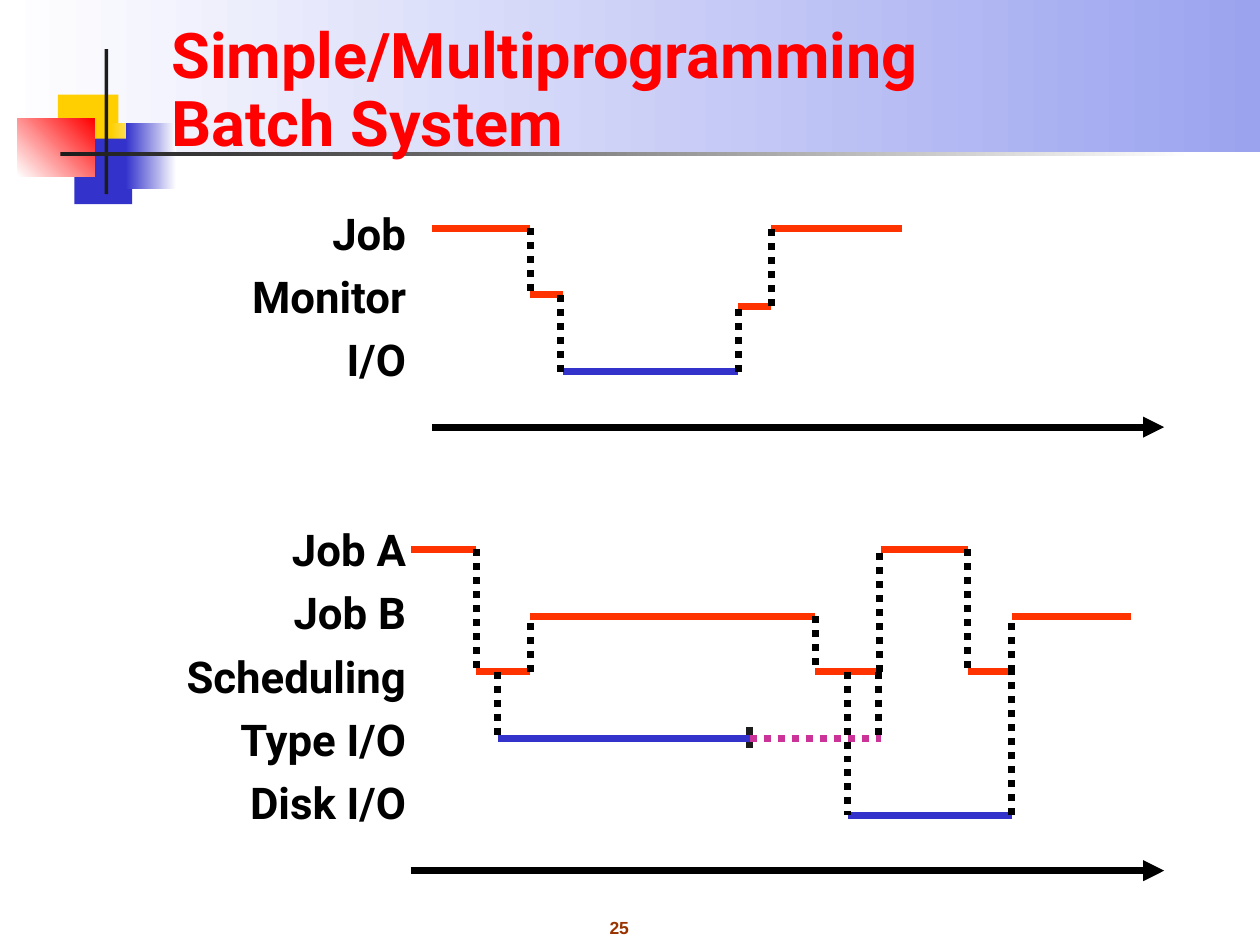
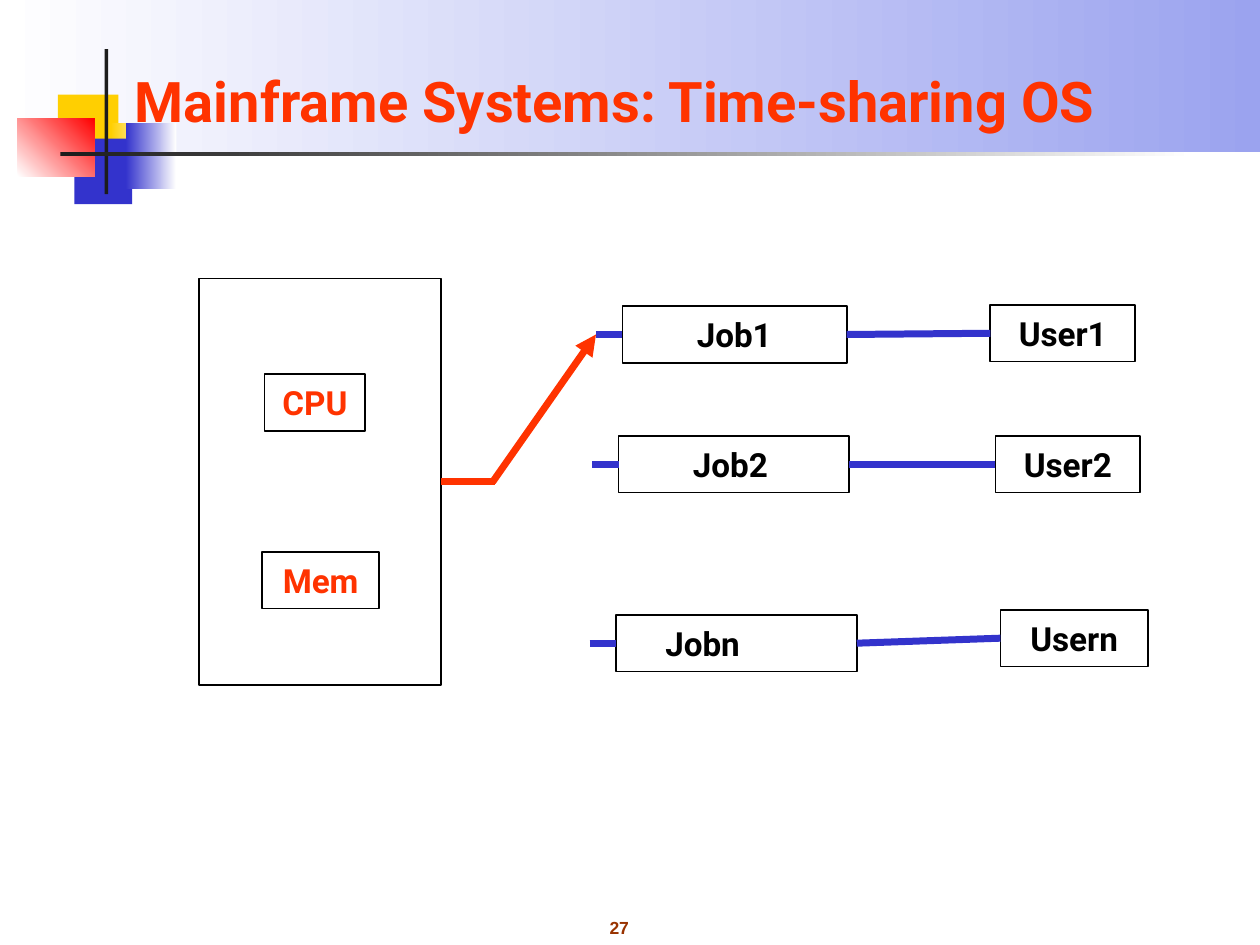
from lxml.etree import SubElement
from pptx import Presentation
from pptx.dml.color import RGBColor
from pptx.enum.dml import MSO_LINE
from pptx.enum.shapes import MSO_CONNECTOR, MSO_SHAPE
from pptx.enum.text import MSO_ANCHOR, MSO_AUTO_SIZE, PP_ALIGN
from pptx.oxml.ns import qn
from pptx.util import Inches, Pt

COLOURS = {
    "white": "FFFFFF", "black": "000000", "dark": "1C1C1C",
    "yellow": "FFCF01", "blue": "3333CC", "red": "FF0000",
    "orange": "FF3300", "magenta": "CC3399", "band": "9BA3EF",
    "number": "993300",
}
FONT = "Roboto"
LEFT, RIGHT = 1, 3  # connection sites of a rectangle

# Shared decoration: area, colours (two make a gradient), gradient angle
DECORATION = [
    ((0, 0, 10, 1.21), ("white", "band"), 0),
    ((0.46, 0.75, 0.48, 0.52), ("yellow",), 0),
    ((0.88, 0.98, 0.36, 0.52), ("yellow", "white"), 0),
    ((0.59, 1.1, 0.46, 0.52), ("blue",), 0),
    ((1, 0.98, 0.4, 0.52), ("blue", "white"), 0),
    ((0.14, 0.94, 0.61, 0.46), ("white", "red"), 45),
    ((0.83, 0.39, 0.03, 1.15), ("dark",), 0),
    ((0.48, 1.21, 9, 0.03), ("dark", "white"), 0),
]

# Timelines: runs are (level, start, end, colour),
# switches are (x, from level, to level)
SIMPLE_BATCH = {
    "labels": ["Job", "Monitor", "I/O"],
    "label_top": 1.59,
    "levels": {"job": 1.81, "leave": 2.34, "resume": 2.43, "io": 2.95},
    "runs": [
        ("job", 3.43, 4.21, "orange"), ("leave", 4.21, 4.47, "orange"),
        ("io", 4.47, 5.86, "blue"), ("resume", 5.86, 6.12, "orange"),
        ("job", 6.12, 7.16, "orange"),
    ],
    "switches": [
        (4.21, "job", "leave"), (4.45, "leave", "io"),
        (5.86, "io", "resume"), (6.12, "resume", "job"),
    ],
    "axis": (3.43, 9.24, 3.39),
}
MULTIPROGRAMMING = {
    "labels": ["Job A", "Job B", "Scheduling", "Type I/O", "Disk I/O"],
    "label_top": 4.1,
    "levels": {"a": 4.36, "b": 4.89, "sched": 5.33, "type": 5.86, "disk": 6.47},
    "runs": [
        ("a", 3.26, 3.78, "orange"), ("sched", 3.78, 4.21, "orange"),
        ("b", 4.21, 6.47, "orange"), ("sched", 6.47, 6.99, "orange"),
        ("disk", 6.73, 8.03, "blue"), ("type", 3.95, 5.95, "blue"),
        ("type", 5.95, 6.99, "magenta"), ("a", 6.99, 7.68, "orange"),
        ("sched", 7.68, 8.03, "orange"), ("b", 8.03, 8.98, "orange"),
    ],
    "switches": [
        (3.78, "a", "sched"), (3.95, "sched", "type"), (4.21, "sched", "b"),
        (6.47, "b", "sched"), (6.73, "sched", "disk"), (6.98, "sched", "a"),
        (7.68, "a", "sched"), (8.03, "sched", "b"), (8.03, "disk", "sched"),
        (6.97, "sched", "type"),
    ],
    "axis": (3.26, 9.24, 6.91),
}
TYPE_IO_DONE = (5.95, 5.77, 5.94)  # x, top, bottom of the tick

# Time-sharing: text and area
MAINFRAME = (1.58, 2.21, 1.92, 3.23)
PARTS = [("CPU", (2.1, 2.97, 0.8, 0.45)), ("Mem", (2.08, 4.38, 0.93, 0.45))]
# Job, its area and text indent; user and its area
SESSIONS = [
    ("Job1", (4.94, 2.43, 1.78, 0.45), 0.59, "User1", (7.86, 2.42, 1.15, 0.45)),
    ("Job2", (4.91, 3.46, 1.83, 0.45), 0.59, "User2", (7.9, 3.46, 1.15, 0.45)),
    ("Jobn", (4.89, 4.88, 1.91, 0.45), 0.39, "Usern", (7.94, 4.84, 1.17, 0.45)),
]
STUB = 0.21


def colour(name):
    return RGBColor.from_string(COLOURS[name])


def style(frame, size, tint, align, font=FONT):
    """Format every run of a text frame alike."""
    for para in frame.paragraphs:
        para.alignment = align
        for span in para.runs:
            span.font.name, span.font.size = font, Pt(size)
            span.font.bold = True
            span.font.color.rgb = colour(tint)


def add_text(page, area, text, size, tint, align, font=FONT):
    box = page.shapes.add_textbox(*map(Inches, area))
    box.text_frame.word_wrap = True
    box.text_frame.text = text
    style(box.text_frame, size, tint, align, font)
    return box


def add_line(page, start, end, tint, dotted=False, arrow=False):
    line = page.shapes.add_connector(
        MSO_CONNECTOR.STRAIGHT, *map(Inches, (*start, *end)))
    line.line.width = Pt(4)
    line.line.color.rgb = colour(tint)
    if dotted:
        line.line.dash_style = MSO_LINE.ROUND_DOT
    properties = line.element.spPr
    if arrow:
        SubElement(properties.find(qn("a:ln")), qn("a:tailEnd"), type="triangle")
    SubElement(properties, qn("a:effectLst"))
    return line


def add_box(page, area, text="", tint="black", indent=None):
    """Outlined box; the text is centred unless an indent is given."""
    box = page.shapes.add_shape(MSO_SHAPE.RECTANGLE, *map(Inches, area))
    box.shadow.inherit = False
    box.fill.background()
    box.line.color.rgb = colour("black")
    box.line.width = Pt(1)
    if text:
        frame = box.text_frame
        frame.text = text
        frame.vertical_anchor = MSO_ANCHOR.MIDDLE
        frame.margin_left = Inches(indent or 0)
        frame.margin_right = 0
        style(frame, 19, tint, PP_ALIGN.LEFT if indent else PP_ALIGN.CENTER)
    return box


def add_page(deck, title_text, title_area, size, tint, number):
    """Slide with the shared decoration, title and page number."""
    page = deck.slides.add_slide(deck.slide_layouts[5])
    for area, tints, angle in DECORATION:
        block = page.shapes.add_shape(MSO_SHAPE.RECTANGLE, *map(Inches, area))
        block.shadow.inherit = False
        block.line.fill.background()
        if len(tints) == 1:
            block.fill.solid()
            block.fill.fore_color.rgb = colour(tints[0])
        else:
            block.fill.gradient()
            block.fill.gradient_angle = angle
            for stop, name in zip(block.fill.gradient_stops, tints):
                stop.color.rgb = colour(name)
    add_text(page, (4.48, 7.23, 0.87, 0.27), number, 10, "number",
             PP_ALIGN.CENTER, "Arial")

    # Title in front of the decoration
    title = page.shapes.title
    title.element.getparent().append(title.element)
    title.left, title.top, title.width, title.height = map(Inches, title_area)
    frame = title.text_frame
    frame.text = title_text
    frame.auto_size = MSO_AUTO_SIZE.NONE
    frame.vertical_anchor = MSO_ANCHOR.BOTTOM
    frame.paragraphs[0].line_spacing = 0.9 if "\v" in title_text else 1.0
    style(frame, size, tint, PP_ALIGN.LEFT)
    return page


def add_timeline(page, timeline):
    labels, levels = timeline["labels"], timeline["levels"]
    box = add_text(page, (0.93, timeline["label_top"], 2.39, 0.5 * len(labels)),
                   "\n".join(labels), 25, "black", PP_ALIGN.RIGHT)
    for para in box.text_frame.paragraphs[1:]:
        para.space_before = Pt(6.2)
    for level, start, end, tint in timeline["runs"]:
        add_line(page, (start, levels[level]), (end, levels[level]), tint,
                 dotted=tint == "magenta")
    for x, before, after in timeline["switches"]:
        add_line(page, (x, levels[before]), (x, levels[after]), "black", dotted=True)
    start, end, y = timeline["axis"]
    add_line(page, (start, y), (end, y), "black", arrow=True)


def add_time_sharing(page):
    for text, area in PARTS:
        add_box(page, area, text, "orange")
    mainframe = add_box(page, MAINFRAME)

    # Jobs with their users
    stub_starts = []
    for job_text, job_area, indent, user_text, user_area in SESSIONS:
        job = add_box(page, job_area, job_text, indent=indent)
        user = add_box(page, user_area, user_text)
        x, y = job_area[0], job_area[1] + job_area[3] / 2
        stub_starts.append((x - STUB, y))
        stub = add_line(page, stub_starts[-1], (x, y), "blue")
        stub.end_connect(job, LEFT)
        link = add_line(page, (x, y), (user_area[0], y), "blue")
        link.begin_connect(job, RIGHT)
        link.end_connect(user, LEFT)

    # Switch arm pointing at the first job
    elbow_y = MAINFRAME[1] + MAINFRAME[3] / 2
    arm = add_line(page, (3.5, elbow_y), (3.93, elbow_y), "orange")
    arm.begin_connect(mainframe, RIGHT)
    add_line(page, (3.91, elbow_y), stub_starts[0], "orange", arrow=True)


def main():
    deck = Presentation()
    deck.slide_width, deck.slide_height = Inches(10), Inches(7.5)

    page = add_page(deck, "Simple/Multiprogramming\vBatch System",
                    (1.26, 0.18, 8.52, 1.14), 36, "red", "25")
    x, top, bottom = TYPE_IO_DONE
    add_line(page, (x, top), (x, bottom), "dark")
    for timeline in (SIMPLE_BATCH, MULTIPROGRAMMING):
        add_timeline(page, timeline)

    page = add_page(deck, "Mainframe Systems: Time-sharing OS",
                    (0.97, 0.21, 8.84, 0.9), 32, "orange", "27")
    add_time_sharing(page)
    deck.save("out.pptx")


if __name__ == "__main__":
    main()
